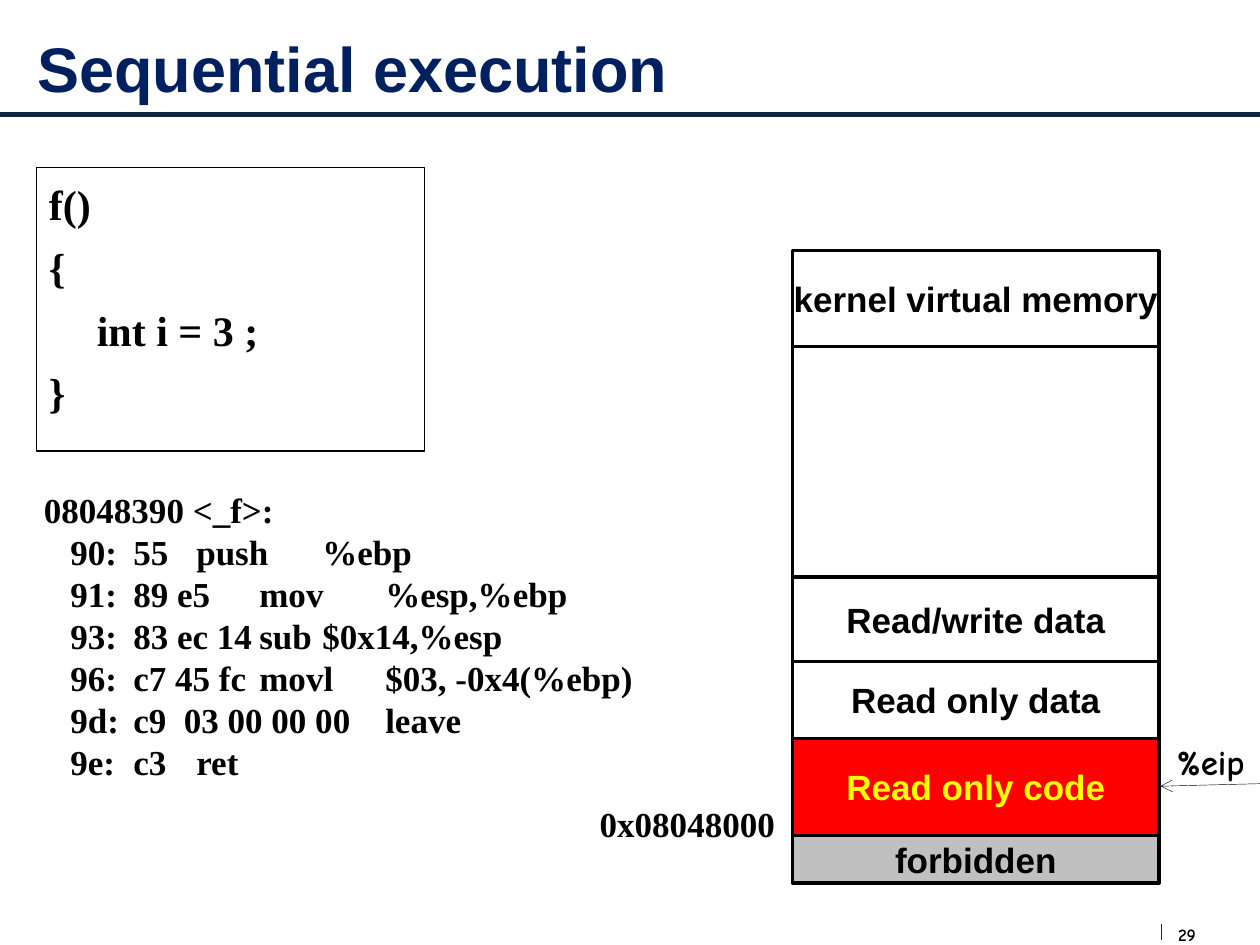
"""Build the slide on sequential execution and the process memory layout."""
from dataclasses import dataclass

import lxml.etree
import pptx
import pptx.dml.color
import pptx.enum.shapes
import pptx.enum.text
import pptx.oxml.ns
import pptx.util

Inches = pptx.util.Inches
Pt = pptx.util.Pt
RGB = pptx.dml.color.RGBColor
ALIGN = pptx.enum.text.PP_ALIGN
ANCHOR = pptx.enum.text.MSO_ANCHOR
qn = pptx.oxml.ns.qn

BLACK = RGB(0x00, 0x00, 0x00)
WHITE = RGB(0xFF, 0xFF, 0xFF)
NAVY = RGB(0x00, 0x20, 0x60)
RULE = RGB(0x10, 0x25, 0x3F)
TICK = RGB(0x17, 0x2F, 0x37)
RED = RGB(0xFF, 0x00, 0x00)
YELLOW = RGB(0xFF, 0xFF, 0x00)
GRAY = RGB(0xC0, 0xC0, 0xC0)

SANS, SERIF, COMIC = "Arial", "Times New Roman", "Comic Neue"
MEM_LEFT, MEM_TOP, MEM_WIDTH = 6.29, 1.99, 2.91
CODE_TABS = (0.72, 3.0, 3.75)


@dataclass(frozen=True)
class Font:
    name: str
    size: float
    color: RGB = BLACK


@dataclass(frozen=True)
class Region:
    label: str
    height: float
    fill: RGB = WHITE
    color: RGB = BLACK


@dataclass(frozen=True)
class Line:
    text: str
    indent: float = 0
    tabs: tuple = ()
    before: float = 0


REGIONS = (
    Region("kernel virtual memory", 0.76),
    Region("", 1.83),
    Region("Read/write data", 0.67),
    Region("Read only data", 0.61),
    Region("Read only code", 0.77, RED, YELLOW),
    Region("forbidden", 0.38, GRAY),
)

SOURCE = (
    Line("f()"),
    Line("{", before=7),
    Line("int i = 3 ;", indent=0.38, before=7),
    Line("}", before=7),
)

INSTRUCTIONS = (
    ("90:", "55", "push", "%ebp"),
    ("91:", "89 e5", "mov", "%esp,%ebp"),
    ("93:", "83 ec 14", "sub", "$0x14,%esp"),
    ("96:", "c7 45 fc", "movl", "$03, -0x4(%ebp)"),
    ("9d:", "c9  03 00 00 00", "leave"),
    ("9e:", "c3", "ret"),
)


def write(sp, lines: tuple, font: Font, align=ALIGN.LEFT,
          anchor=ANCHOR.TOP, wrap: bool = False) -> None:
    tf = sp.text_frame
    tf.word_wrap = wrap
    tf.vertical_anchor = anchor
    for i, line in enumerate(lines):
        p = tf.add_paragraph() if i else tf.paragraphs[0]
        p.alignment = align
        if line.before:
            p.space_before = Pt(line.before)
        pPr = p._p.get_or_add_pPr()
        pPr.set("marL", str(Inches(line.indent)))
        pPr.set("indent", "0")
        if line.tabs:
            tabs = lxml.etree.SubElement(pPr, qn("a:tabLst"))
            for pos in line.tabs:
                lxml.etree.SubElement(tabs, qn("a:tab"), pos=str(Inches(pos)), algn="l")
        for j, part in enumerate(line.text.split("\t")):
            r = p.add_run()
            r.text = "\t" + part if j else part
            r.font.name = font.name
            r.font.size = Pt(font.size)
            r.font.bold = True
            r.font.color.rgb = font.color


def add_text(s, box: tuple, lines: tuple, font: Font, **layout):
    sp = s.shapes.add_textbox(*map(Inches, box))
    write(sp, lines, font, **layout)
    return sp


def add_rect(s, box: tuple, width: float, fill: RGB = None):
    sp = s.shapes.add_shape(pptx.enum.shapes.MSO_SHAPE.RECTANGLE, *map(Inches, box))
    sp.shadow.inherit = False
    if fill is None:
        sp.fill.background()
    else:
        sp.fill.solid()
        sp.fill.fore_color.rgb = fill
    sp.line.color.rgb = BLACK
    sp.line.width = Pt(width)
    return sp


def add_line(s, ends: tuple, color: RGB, width: float, arrow: bool = False) -> None:
    sp = s.shapes.add_connector(
        pptx.enum.shapes.MSO_CONNECTOR.STRAIGHT, *map(Inches, ends))
    sp.line.color.rgb = color
    sp.line.width = Pt(width)
    if arrow:
        lxml.etree.SubElement(sp.line._get_or_add_ln(), qn("a:tailEnd"), type="arrow")
    lxml.etree.SubElement(sp._element.spPr, qn("a:effectLst"))


def draw_memory(s) -> None:
    top = MEM_TOP
    for region in REGIONS:
        sp = add_rect(s, (MEM_LEFT, top, MEM_WIDTH, region.height), 2, region.fill)
        if region.label:
            write(sp, (Line(region.label),), Font(SANS, 20, region.color),
                  align=ALIGN.CENTER, anchor=ANCHOR.MIDDLE)
        top += region.height


def main() -> None:
    prs = pptx.Presentation()
    prs.slide_width, prs.slide_height = Inches(10), Inches(7.5)
    s = prs.slides.add_slide(prs.slide_layouts[6])

    add_line(s, (0, 0.91, 10, 0.91), RULE, 3)
    number = add_text(s, (9.35, 7.33, 0.34, 0.17), (Line("29"),), Font(COMIC, 10))
    tf = number.text_frame
    tf.margin_left = tf.margin_right = tf.margin_top = tf.margin_bottom = 0
    add_line(s, (9.22, 7.33, 9.22, 7.46), TICK, 0.75)
    add_text(s, (0.2, 0, 9.53, 1.07), (Line("Sequential execution"),),
             Font(SANS, 36, NAVY), anchor=ANCHOR.MIDDLE, wrap=True)

    source = add_rect(s, (0.29, 1.33, 3.08, 2.25), 0.75)
    source.text_frame.margin_top = Inches(0.09)
    write(source, SOURCE, Font(SERIF, 24), align=ALIGN.JUSTIFY, wrap=True)

    listing = (Line("08048390 <_f>:"),) + tuple(
        Line("\t".join(row), 0.21, CODE_TABS) for row in INSTRUCTIONS)
    add_text(s, (0.25, 3.83, 6.17, 2.5), listing, Font(SERIF, 20), wrap=True)

    draw_memory(s)
    add_text(s, (4.66, 6.32, 1.59, 0.44), (Line("0x08048000"),),
             Font(SERIF, 20), align=ALIGN.CENTER)
    add_text(s, (9.24, 5.83, 0.74, 0.44), (Line("%eip"),),
             Font(COMIC, 20), align=ALIGN.CENTER)
    add_line(s, (10, 6.22, 9.21, 6.24), BLACK, 0.25, arrow=True)

    prs.save("out.pptx")


if __name__ == "__main__":
    main()
